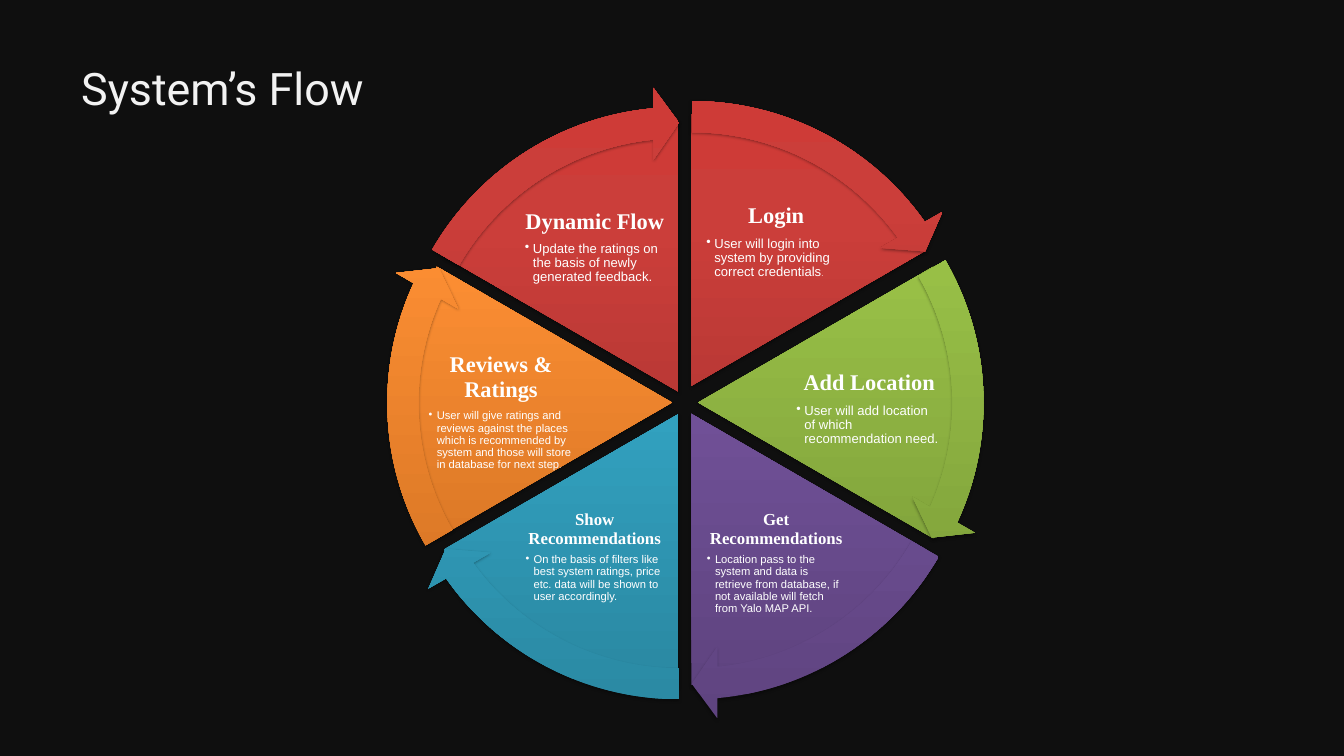
from lxml import etree
from pptx import Presentation
from pptx.dml.color import RGBColor
from pptx.enum.shapes import MSO_SHAPE
from pptx.enum.text import MSO_ANCHOR, PP_ALIGN
from pptx.oxml.ns import qn
from pptx.util import Inches, Pt

PIE = MSO_SHAPE.PIE
ARROW = MSO_SHAPE.CIRCULAR_ARROW
LEFT, CENTER = PP_ALIGN.LEFT, PP_ALIGN.CENTER
TOP = MSO_ANCHOR.TOP

COLORS = {"back": "0F0F0F", "title": "F2F2F2", "text": "FFFFFF", "shadow": "000000"}
# Gradient stops at 0, 80 and 100 percent
GRADS = {
    "red": ("9C2F2D", "CB3E3A", "CE3B37"),
    "green": ("779737", "9BC348", "9DC746"),
    "purple": ("5F4480", "7B58A6", "7C57A8"),
    "blue": ("2A88A2", "37B1D2", "34B4D6"),
    "orange": ("CC6E20", "FF9034", "FF9136"),
}
STOPS = (0, 80, 100)

# Angles are in units of 100000/60000 degree: 216 is a full turn
TURN, STEP, START = 216, 36, 162
DISC, RING = 8.08, 9.09
EDGE = 0.5  # how far the arrow ring reaches past the disc
HEAD = 3.275  # angle taken by an arrowhead

# color, disc corner, text box, top inset, heading, size, body, size, small end
STAGES = [
    ("red", (6.25, 1.7), (10.49, 2.74, 2.12, 1.64), 0.3, "Login", 24,
     "User will login into system by providing correct credentials", 14, "."),
    ("green", (6.35, 1.95), (11.83, 5.23, 2.21, 1.59), 0.3, "Add Location", 24,
     "User will add location of which recommendation need.", 14, ""),
    ("purple", (6.25, 2.12), (10.49, 7.58, 2.12, 1.64), 0.03, "Get Recommendations", 18,
     "Location pass to the system and data is retrieve from database, "
     "if not available will fetch from Yalo MAP API.", 12, ""),
    ("blue", (6.06, 2.12), (7.79, 7.58, 2.12, 1.64), 0.03, "Show Recommendations", 18,
     "On the basis of filters like best system ratings, price etc. "
     "data will be shown to user accordingly.", 12, ""),
    ("orange", (5.96, 1.95), (6.35, 5.23, 2.21, 1.59), 0.03, "Reviews & Ratings", 24,
     "User will give ratings and reviews against the places which is recommended "
     "by system and those will store in database for next step", 12, "."),
    ("red", (6.06, 1.79), (7.79, 2.82, 2.12, 1.64), 0.3, "Dynamic Flow", 24,
     "Update the ratings on the basis of newly generated feedback.", 14, ""),
]


def add_run(para, text, font="Arial", size=14, color="text", bold=False):
    run = para.add_run()
    run.text = text
    run.font.name = font
    run.font.size = Pt(size)
    run.font.bold = bold
    run.font.color.rgb = RGBColor.from_string(COLORS[color])


def add_bullet(para, hang=0.12):
    props = para._p.get_or_add_pPr()
    props.set("marL", str(Inches(hang)))
    props.set("indent", str(-Inches(hang)))
    etree.SubElement(props, qn("a:buChar")).set("char", "•")


class Canvas:
    def __init__(self, slide):
        self.slide = slide
        fill = slide.background.fill
        fill.solid()
        fill.fore_color.rgb = RGBColor.from_string(COLORS["back"])

    def shape(self, kind, corner, size, grad, adjust):
        x, y = corner
        shape = self.slide.shapes.add_shape(
            kind, Inches(x), Inches(y), Inches(size), Inches(size))
        for i, value in enumerate(adjust):
            shape.adjustments[i] = value
        shape.line.fill.background()
        self.shade(shape, GRADS[grad])
        self.shadow(shape)

    def shade(self, shape, hues):
        shape.fill.gradient()
        shape.fill.gradient_angle = 90
        stops = shape._element.spPr.find(".//" + qn("a:gsLst"))
        for old in list(stops):
            stops.remove(old)
        for place, hue in zip(STOPS, hues):
            stop = etree.SubElement(stops, qn("a:gs"), pos=str(place * 1000))
            etree.SubElement(stop, qn("a:srgbClr"), val=hue)

    def shadow(self, shape):
        shape.shadow.inherit = False
        effects = shape._element.spPr.find(qn("a:effectLst"))
        outer = etree.SubElement(
            effects, qn("a:outerShdw"), blurRad=str(Pt(3.15)), dist=str(Pt(1.81)),
            dir="5400000", rotWithShape="0")
        color = etree.SubElement(outer, qn("a:srgbClr"), val=COLORS["shadow"])
        etree.SubElement(color, qn("a:alpha"), val="35000")

    def box(self, area, inset=None, top=None):
        frame = self.slide.shapes.add_textbox(*map(Inches, area)).text_frame
        frame.word_wrap = True
        frame.vertical_anchor = TOP
        if inset is not None:
            frame.margin_left = frame.margin_right = frame.margin_bottom = Inches(inset)
            frame.margin_top = Inches(top)
        return frame

    def label(self, area, top, head, big, body, small, end):
        frame = self.box(area, 0.02 if small == 14 else 0.03, top)
        para = frame.paragraphs[0]
        para.alignment = CENTER
        para.line_spacing = 0.9
        para.space_after = Pt(round(big * 0.38))
        add_run(para, head, font="Times New Roman", size=big, bold=True)

        para = frame.add_paragraph()
        para.alignment = LEFT
        para.level = 1
        para.line_spacing = 0.9
        add_bullet(para)
        add_run(para, body, size=small)
        if end:
            add_run(para, end, size=8)


def main():
    deck = Presentation()
    deck.slide_width, deck.slide_height = Inches(20), Inches(11.25)
    canvas = Canvas(deck.slides.add_slide(deck.slide_layouts[6]))

    # Wedges with their labels
    for i, (grad, corner, area, *words) in enumerate(STAGES):
        begin = (START + i * STEP) % TURN
        canvas.shape(PIE, corner, DISC, grad, (begin, (begin + STEP) % TURN))
        canvas.label(area, *words)

    # Arrows around the rim
    for i, (grad, (x, y), *_) in enumerate(STAGES):
        begin = (START + i * STEP) % TURN
        tip = (begin + STEP - HEAD) % TURN
        canvas.shape(ARROW, (x - EDGE, y - EDGE), RING, grad,
                     (0.051, HEAD, tip, begin, 0.059))

    # Title
    title = canvas.box((1.11, 0.86, 7.68, 0.91))
    add_run(title.paragraphs[0], "System’s Flow", font="Roboto", size=48, color="title")

    deck.save("out.pptx")


if __name__ == "__main__":
    main()
